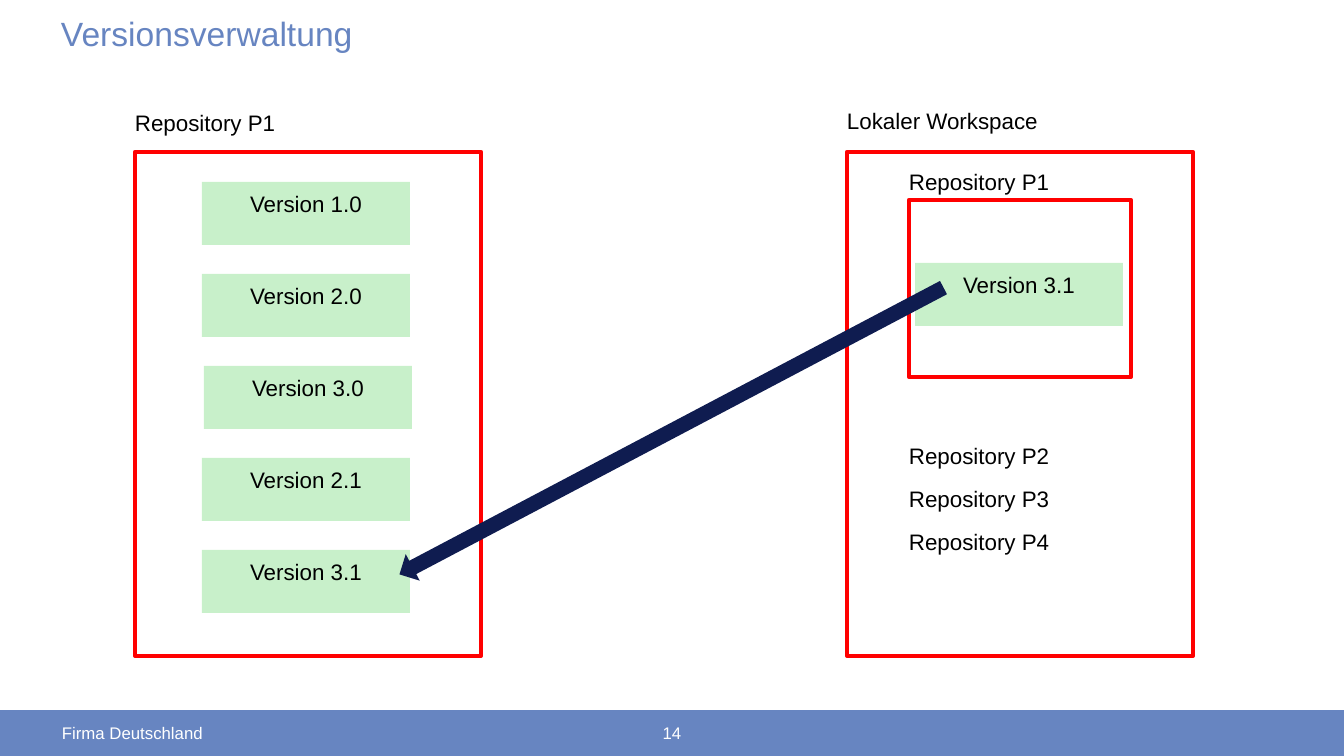
from dataclasses import dataclass

from pptx import Presentation
from pptx import util as u
from pptx.dml.color import RGBColor
from pptx.enum import shapes, text

PX = 914400 / 100.8  # EMU per px


@dataclass(frozen=True)
class Theme:
    font: str = "Arial"
    blue: str = "6785C1"
    navy: str = "0F1C50"
    green: str = "C8F0CA"
    red: str = "FF0000"
    black: str = "000000"
    white: str = "FFFFFF"
    title: int = 24
    body: int = 16
    footer: int = 12
    frame_line: int = 3


THEME = Theme()


def px(*lengths):
    return [u.Emu(round(n * PX)) for n in lengths]


def set_all(obj, values):
    for name, value in values.items():
        setattr(obj, name, value)


def write(sp, words, size=THEME.body, color=THEME.black, margins=(0, 0),
          anchor=text.MSO_ANCHOR.TOP, **paragraph):
    """Fill a shape with one formatted paragraph."""
    tf = sp.text_frame
    side, top = px(*margins)
    set_all(tf, {"word_wrap": True, "auto_size": text.MSO_AUTO_SIZE.NONE,
                 "vertical_anchor": anchor,
                 "margin_left": side, "margin_right": side,
                 "margin_top": top, "margin_bottom": top})
    p = tf.paragraphs[0]
    set_all(p, {"alignment": text.PP_ALIGN.LEFT, **paragraph})
    r = p.add_run()
    r.text = words
    set_all(r.font, {"name": THEME.font, "size": u.Pt(size)})
    r.font.color.rgb = RGBColor.from_string(color)


def add_label(s, words, *box, **style):
    write(s.shapes.add_textbox(*px(*box)), words, **style)


def add_block(s, color, *box, kind=shapes.MSO_SHAPE.RECTANGLE):
    sp = s.shapes.add_shape(kind, *px(*box))
    sp.shadow.inherit = False
    sp.fill.solid()
    sp.fill.fore_color.rgb = RGBColor.from_string(color)
    sp.line.fill.background()
    return sp


def add_frame(s, *box):
    sp = s.shapes.add_shape(shapes.MSO_SHAPE.RECTANGLE, *px(*box))
    sp.shadow.inherit = False
    sp.fill.background()
    sp.line.color.rgb = RGBColor.from_string(THEME.red)
    sp.line.width = u.Pt(THEME.frame_line)


def add_version(s, number, x, y):
    sp = add_block(s, THEME.green, x, y, 208, 63)
    write(sp, f"Version {number}", margins=(12, 8),
          alignment=text.PP_ALIGN.CENTER, space_before=u.Pt(6))


def add_heading(s, words, x, y, width=235):
    add_label(s, words, x, y, width, 43, space_before=u.Pt(6))


def add_title(s, words):
    title = s.shapes.title
    box = px(61, 21, 1223, 55)
    set_all(title, dict(zip(("left", "top", "width", "height"), box)))
    write(title, words, size=THEME.title, color=THEME.blue, line_spacing=0.8)


def add_footer(s, owner, number):
    add_block(s, THEME.blue, 0, 710, 1344, 46)
    style = {"size": THEME.footer, "color": THEME.white,
             "anchor": text.MSO_ANCHOR.MIDDLE}
    add_label(s, owner, 62, 725, 454, 16, **style)
    add_label(s, number, 645, 725, 54, 16,
              alignment=text.PP_ALIGN.CENTER, **style)


def main():
    prs = Presentation()
    prs.slide_width, prs.slide_height = px(1344, 756)
    s = prs.slides.add_slide(prs.slide_layouts[5])

    add_title(s, "Versionsverwaltung")
    add_footer(s, "Firma Deutschland", "14")

    # Outer frames
    for x in (135, 847):
        add_frame(s, x, 152, 346, 504)

    # Repository with its versions
    add_heading(s, "Repository P1", 135, 109)
    for i, number in enumerate(("1.0", "2.0", "3.0", "2.1", "3.1")):
        add_version(s, number, 204 if number == "3.0" else 202, 182 + 92 * i)

    # Local workspace
    add_heading(s, "Lokaler Workspace", 847, 107)
    add_frame(s, 909, 200, 222, 177)
    add_heading(s, "Repository P1", 909, 168)
    add_version(s, "3.1", 915, 263)
    for i, name in enumerate(("P2", "P3", "P4")):
        add_heading(s, f"Repository {name}", 909, 442 + 43 * i, 150)

    # Arrow from the workspace back to the repository
    arrow = add_block(s, THEME.navy, 364, 416, 615, 30,
                      kind=shapes.MSO_SHAPE.RIGHT_ARROW)
    arrow.rotation = 152.2

    prs.save("out.pptx")


if __name__ == "__main__":
    main()
